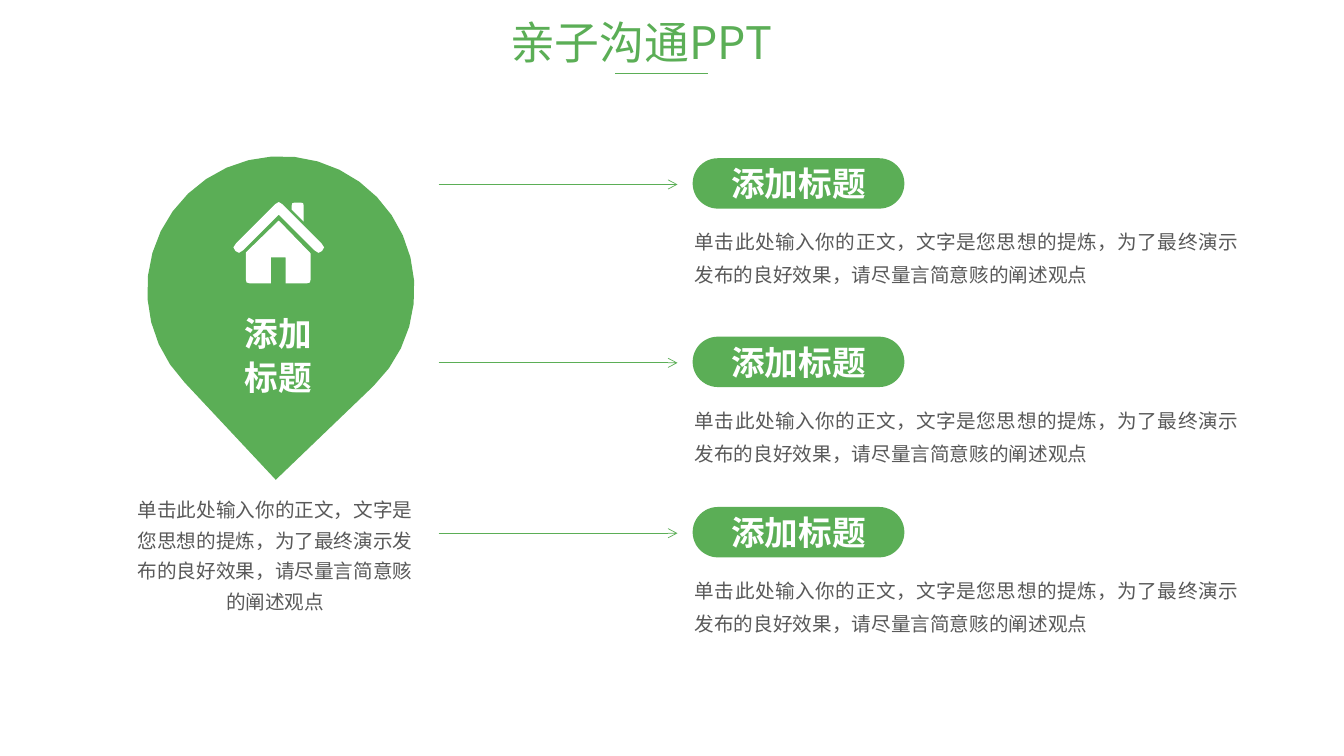
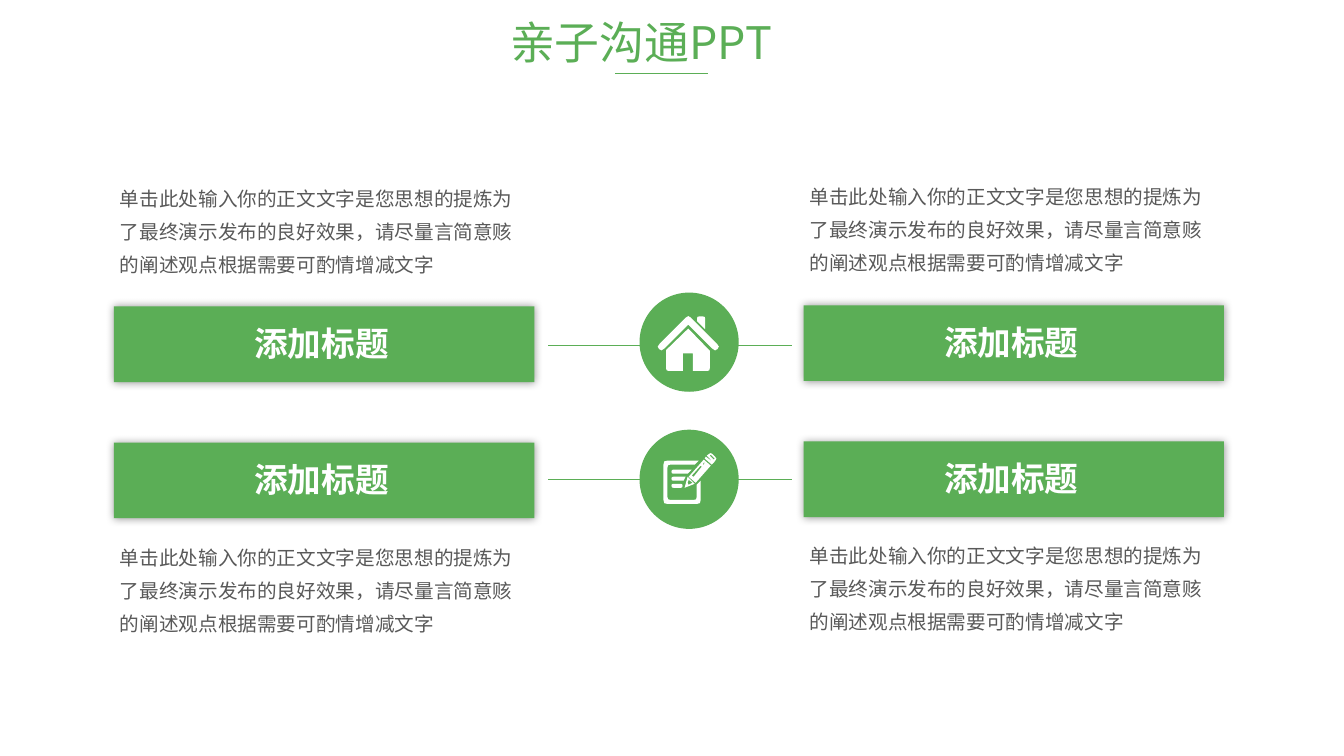
from math import cos, hypot, radians, sin

from lxml import etree
from pptx import Presentation
from pptx.dml.color import RGBColor
from pptx.enum.shapes import MSO_CONNECTOR, MSO_SHAPE
from pptx.enum.text import MSO_ANCHOR, PP_ALIGN
from pptx.oxml.ns import qn
from pptx.util import Inches, Pt

GREEN = RGBColor(0x5B, 0xAE, 0x56)
INK = RGBColor(0x59, 0x59, 0x59)
WHITE = RGBColor(0xFF, 0xFF, 0xFF)
FONT = "Noto Sans CJK SC"
LEFT, MID, FULL = PP_ALIGN.LEFT, PP_ALIGN.CENTER, PP_ALIGN.JUSTIFY
TOP, CENTER = MSO_ANCHOR.TOP, MSO_ANCHOR.MIDDLE
LINE = MSO_CONNECTOR.STRAIGHT
RECT, PILL, OVAL = MSO_SHAPE.RECTANGLE, MSO_SHAPE.ROUNDED_RECTANGLE, MSO_SHAPE.OVAL

HEAD = "添加标题"
SHORT = "单击此处输入你的正文，文字是您思想的提炼，为了最终演示发布的良好效果，请尽量言简意赅的阐述观点"
LONG = "单击此处输入你的正文文字是您思想的提炼为了最终演示发布的良好效果，请尽量言简意赅的阐述观点根据需要可酌情增减文字"

# Icon outlines in hundredths of their width: x, y and an optional corner radius
HOUSE = 90, [
    [(59, 0, 3), (71, 0, 3), (71, 19), (59, 7)],
    [(46, -2, 5), (93, 45, 6), (86, 52, 6), (46, 12),
     (6, 52, 6), (-1, 45, 6)],
    [(13, 50), (46, 18), (78, 51), (78, 81, 4), (53, 81), (53, 55),
     (38, 55), (38, 81), (13, 81, 4)],
]
NOTE = 53, [
    [(0, 8, 4), (35, 8), (31, 12), (4, 12, 3), (4, 47, 3), (33, 47, 3),
     (33, 32), (37, 28), (37, 51, 4), (0, 51, 4)],
    [(8, 17, 2), (28, 17), (24, 21), (8, 21, 2)],
    [(8, 24, 2), (22, 24), (20, 28), (8, 28, 2)],
    [(8, 31, 2), (19, 31, 2), (19, 35, 2), (8, 35, 2)],
    [(24, 24), (31, 31), (21, 35)],
    [(25, 27), (24, 30), (25, 32), (29, 30)],
    [(40, 7), (47, 13), (32, 30), (25, 24)],
    [(37, 13), (38, 14), (30, 24), (28, 23)],
    [(40, 10), (41, 10), (40, 12), (39, 12)],
    [(42, 4), (50, 10), (48, 12), (41, 6)],
    [(47, 0, 2), (53, 6, 2), (50, 10), (43, 3)],
    [(47, 2), (51, 6), (50, 7), (46, 3)],
]


def write(frame, lines, size, color, align, space=1, bold=False,
          anchor=TOP, pad=(0.1, 0.05, 0.1, 0.05)):
    frame.word_wrap = True
    frame.vertical_anchor = anchor
    (frame.margin_left, frame.margin_top,
     frame.margin_right, frame.margin_bottom) = map(Inches, pad)
    for i, line in enumerate(lines):
        para = frame.add_paragraph() if i else frame.paragraphs[0]
        para.alignment = align
        para.line_spacing = space
        run = para.add_run()
        run.text = line
        font = run.font
        font.size, font.bold, font.name = Pt(size), bold, FONT
        font.color.rgb = color
        etree.SubElement(run._r.get_or_add_rPr(), qn("a:ea"), typeface=FONT)


def text(slide, box, lines, *style, **more):
    shape = slide.shapes.add_textbox(*map(Inches, box))
    write(shape.text_frame, lines, *style, **more)


def paint(shape, color):
    shape.shadow.inherit = False
    shape.fill.solid()
    shape.fill.fore_color.rgb = color
    shape.line.fill.background()
    return shape


def block(slide, kind, box):
    return paint(slide.shapes.add_shape(kind, *map(Inches, box)), GREEN)


def rule(slide, left, right, y, arrow=False):
    line = slide.shapes.add_connector(
        LINE, Inches(left), Inches(y), Inches(right), Inches(y))
    line.line.color.rgb = GREEN
    line.line.width = Pt(0.5)
    props = line._element.spPr
    if arrow:
        etree.SubElement(props.find(qn("a:ln")), qn("a:tailEnd"),
                         type="arrow")
    etree.SubElement(props, qn("a:effectLst"))


def outline(slide, loops, color):
    """Draw closed loops of points, given in inches, as one shape."""
    loops = [[(Inches(x), Inches(y)) for x, y in loop] for loop in loops]
    pen = slide.shapes.build_freeform(*loops[0][0])
    for i, loop in enumerate(loops):
        if i:
            pen.move_to(*loop[0])
        pen.add_line_segments(loop[1:], close=True)
    paint(pen.convert_to_shape(), color)


def soften(loop):
    """Cut each corner that has a radius in two steps."""
    points = []
    for i, (x, y, *radius) in enumerate(loop):
        if not radius:
            points.append((x, y))
            continue
        ends = []
        for px, py, *_ in (loop[i - 1], loop[(i + 1) % len(loop)]):
            share = min(radius[0] / hypot(px - x, py - y), 0.5)
            ends.append((x + (px - x) * share, y + (py - y) * share))
        (ax, ay), (bx, by) = ends
        # The middle of the curve, a bit nearer to the corner
        half = (0.2 * (ax + bx) + 0.6 * x, 0.2 * (ay + by) + 0.6 * y)
        points += [ends[0], half, ends[1]]
    return points


def icon(slide, art, left, top, width):
    span, loops = art
    unit = width / span
    outline(slide, [[(left + x * unit, top + y * unit)
                     for x, y in soften(loop)] for loop in loops], WHITE)


def header(slide):
    rule(slide, 6.1, 7.02, 0.73)
    text(slide, (4.96, 0.1, 3.41, 0.64), ["亲子沟通PPT"], 32, GREEN, FULL)


def pin(slide, left, top, size):
    """Map pin: an arc that runs down to a tip, with icon and label."""
    r = size / 2
    cx, cy = left + r, top + r
    arc = [(cx + r * cos(radians(a)), cy + r * sin(radians(a)))
           for a in range(136, 407, 10)]
    outline(slide, [arc + [(cx - 0.05, top + 3.21)]], GREEN)
    text(slide, (left + 0.31, top + 1.45, 1.98, 1.01), ["添加", "标题"],
         24, WHITE, MID, 1.1, True, pad=(0.12, 0.06, 0.12, 0.06))
    text(slide, (left - 0.25, top + 3.27, 3.04, 1.32), [SHORT],
         14, INK, MID, 1.3)
    icon(slide, HOUSE, left + 0.85, top + 0.46, 0.89)


def point(slide, left, top):
    """Arrow, pill heading and the text below it."""
    text(slide, (left + 0.02, top + 0.62, 5.39, 0.66), [SHORT],
         14, INK, FULL, 1.4, pad=(0, 0, 0, 0))
    pill = block(slide, PILL, (left, top, 2.1, 0.5))
    pill.adjustments[0] = 0.5
    write(pill.text_frame, [HEAD], 24, WHITE, MID, bold=True, anchor=CENTER)
    rule(slide, left - 2.52, left - 0.15, top + 0.26, True)


def bar(slide, left, top, note):
    """Bar with a soft shadow, its heading, and text at height note."""
    shape = block(slide, RECT, (left, top, 4.17, 0.75))
    glow = etree.SubElement(
        shape._element.spPr.find(qn("a:effectLst")), qn("a:outerShdw"),
        blurRad=str(Pt(6)), dist="0", dir="5400000", rotWithShape="0")
    black = etree.SubElement(glow, qn("a:srgbClr"), val="000000")
    etree.SubElement(black, qn("a:alpha"), val="40000")
    text(slide, (left + 0.39, top - 0.01, 3.34, 0.75), [HEAD],
         24, WHITE, MID, bold=True, anchor=CENTER)
    text(slide, (left - 0.04, note, 4.29, 1.09), [LONG],
         14, INK, LEFT, 1.4)


def badge(slide, left, top, art, dx, dy, width):
    disc = block(slide, OVAL, (left, top, 0.97, 0.97))
    disc.line.color.rgb = GREEN
    disc.line.width = Pt(1)
    icon(slide, art, left + dx, top + dy, width)


def pin_slide(slide):
    header(slide)
    pin(slide, 1.46, 1.55, 2.65)
    for top in (1.57, 3.34, 5.03):
        point(slide, 6.87, top)


def bar_slide(slide):
    header(slide)
    for left, top, note in ((1.13, 3.04, 1.71), (7.97, 3.03, 1.69)):
        bar(slide, left, top, note)
        bar(slide, left, top + 1.35, note + 3.56)
    for y in (3.43, 4.76):
        rule(slide, 5.44, 7.86, y)
    badge(slide, 6.35, 4.27, NOTE, 0.23, 0.22, 0.53)
    badge(slide, 6.35, 2.91, HOUSE, 0.17, 0.23, 0.6)


def main():
    deck = Presentation()
    deck.slide_width, deck.slide_height = Inches(13.33), Inches(7.5)
    for build in (pin_slide, bar_slide):
        build(deck.slides.add_slide(deck.slide_layouts[6]))
    deck.save("out.pptx")


if __name__ == "__main__":
    main()
